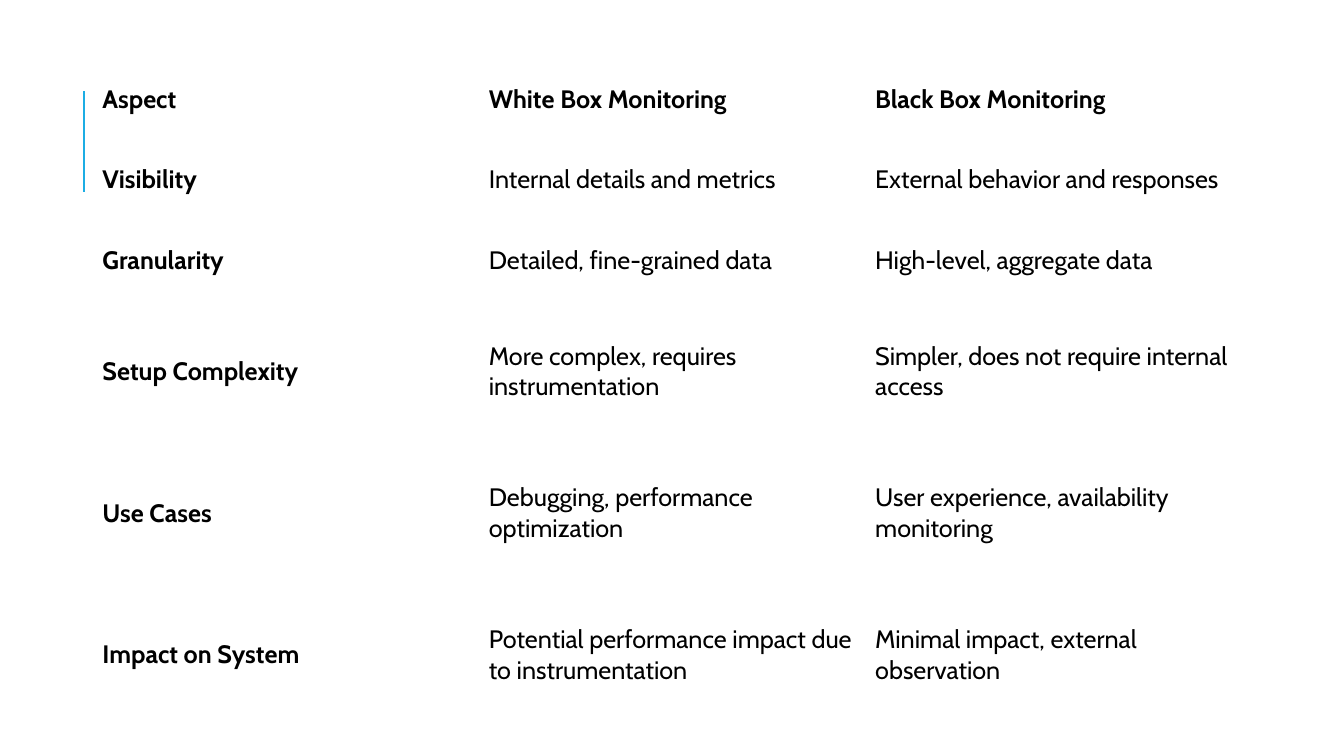
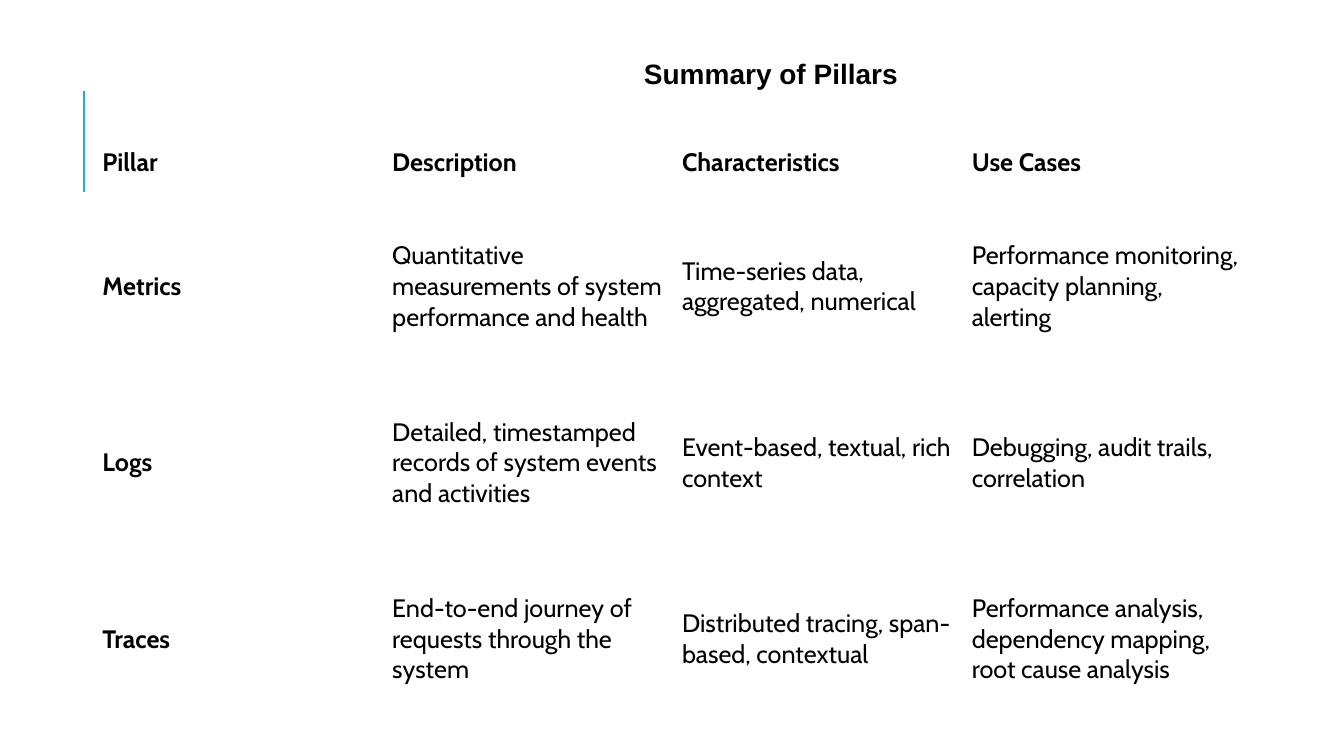
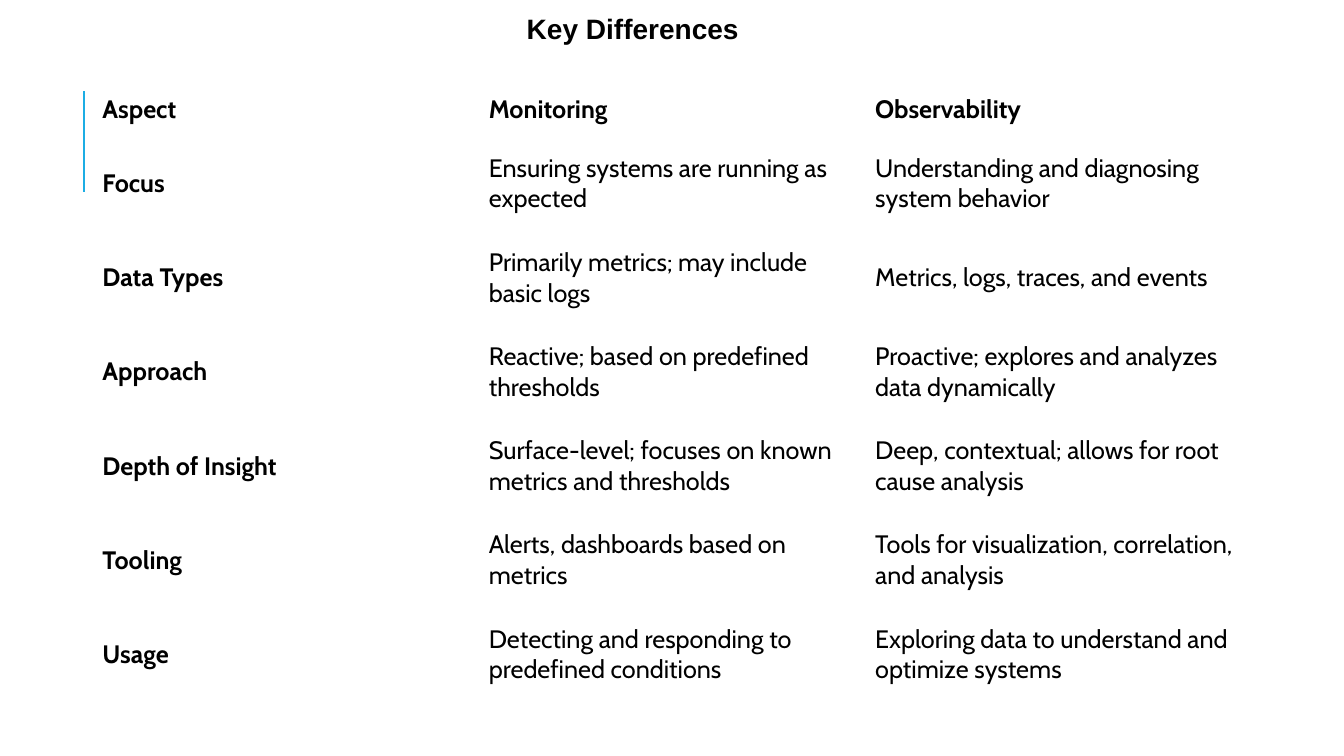
from dataclasses import dataclass

from lxml import etree
from pptx import Presentation
from pptx.dml.color import RGBColor
from pptx.enum import shapes, text
from pptx.oxml import ns
from pptx.util import Pt


@dataclass(frozen=True)
class Theme:
    ink: RGBColor = RGBColor(0x00, 0x00, 0x00)
    rule: RGBColor = RGBColor(0x1C, 0xAD, 0xE4)
    paper: RGBColor = RGBColor(0xFF, 0xFF, 0xFF)
    head: str = "Arial"
    body: str = "Cabin"
    large: int = 20
    small: int = 18


class Deck:
    wide, high = 960, 540
    left, span = 66, 828
    title_w, title_h = 240, 32

    def __init__(self, theme):
        self.theme = theme
        self.prs = Presentation()
        self.prs.slide_width = Pt(self.wide)
        self.prs.slide_height = Pt(self.high)
        self.slide = None

    def start(self, titled=True):
        name = "Title Only" if titled else "Blank"
        layout = self.prs.slide_layouts.get_by_name(name)
        self.slide = self.prs.slides.add_slide(layout)
        fill = self.slide.background.fill
        fill.solid()
        fill.fore_color.rgb = self.theme.paper
        self.rule()

    def rule(self):
        line = self.slide.shapes.add_connector(
            shapes.MSO_CONNECTOR.STRAIGHT, Pt(60), Pt(136.8), Pt(60), Pt(64.8))
        line.line.color.rgb = self.theme.rule
        line.line.width = Pt(1.5)
        etree.SubElement(line._element.spPr, ns.qn("a:effectLst"))

    def run(self, para, words, face, size, bold):
        run = para.add_run()
        run.text = words
        font = run.font
        font.name, font.size, font.bold = face, Pt(size), bold
        font.color.rgb = self.theme.ink

    def title(self, words, mid, top):
        box = self.slide.shapes.title
        box.left, box.top = Pt(mid - self.title_w / 2), Pt(top)
        box.width, box.height = Pt(self.title_w), Pt(self.title_h)
        frame = box.text_frame
        frame.auto_size = text.MSO_AUTO_SIZE.NONE
        frame.vertical_anchor = text.MSO_ANCHOR.MIDDLE
        para = frame.paragraphs[0]
        para.alignment = text.PP_ALIGN.CENTER
        self.run(para, words, self.theme.head, self.theme.large, True)

    def table(self, top, rows, tall, parts=None, joined=()):
        parts = parts or [1] * len(rows[0])
        extra = len(parts) - len(rows[0])
        grid = self.slide.shapes.add_table(
            len(rows), len(parts), Pt(self.left), Pt(top),
            Pt(self.span), Pt(sum(tall))).table
        grid.first_row = grid.horz_banding = False
        for col, part in zip(grid.columns, parts):
            col.width = Pt(self.span * part / sum(parts))
        for r, (row, height) in enumerate(zip(rows, tall)):
            grid.rows[r].height = Pt(height)
            for c in range(len(parts)):
                grid.cell(r, c).fill.background()
            if r in joined:
                grid.cell(r, 0).merge(grid.cell(r, extra))
            for c, words in enumerate(row):
                cell = grid.cell(r, c + extra if c else 0)
                cell.vertical_anchor = text.MSO_ANCHOR.MIDDLE
                self.run(cell.text_frame.paragraphs[0], words, self.theme.body,
                         self.theme.small, r == 0 or c == 0)

    def save(self):
        self.prs.save("out.pptx")


BOXES = [
    ("Aspect", "White Box Monitoring", "Black Box Monitoring"),
    ("Visibility", "Internal details and metrics",
     "External behavior and responses"),
    ("Granularity", "Detailed, fine-grained data",
     "High-level, aggregate data"),
    ("Setup Complexity", "More complex, requires instrumentation",
     "Simpler, does not require internal access"),
    ("Use Cases", "Debugging, performance optimization",
     "User experience, availability monitoring"),
    ("Impact on System", "Potential performance impact due to instrumentation",
     "Minimal impact, external observation"),
]

PILLARS = [
    ("Pillar", "Description", "Characteristics", "Use Cases"),
    ("Metrics", "Quantitative measurements of system performance and health",
     "Time-series data, aggregated, numerical",
     "Performance monitoring, capacity planning, alerting"),
    ("Logs", "Detailed, timestamped records of system events and activities",
     "Event-based, textual, rich context",
     "Debugging, audit trails, correlation"),
    ("Traces", "End-to-end journey of requests through the system",
     "Distributed tracing, span-based, contextual",
     "Performance analysis, dependency mapping, root cause analysis"),
]

CONTRAST = [
    ("Aspect", "Monitoring", "Observability"),
    ("Focus", "Ensuring systems are running as expected",
     "Understanding and diagnosing system behavior"),
    ("Data Types", "Primarily metrics; may include basic logs",
     "Metrics, logs, traces, and events"),
    ("Approach", "Reactive; based on predefined thresholds",
     "Proactive; explores and analyzes data dynamically"),
    ("Depth of Insight",
     "Surface-level; focuses on known metrics and thresholds",
     "Deep, contextual; allows for root cause analysis"),
    ("Tooling", "Alerts, dashboards based on metrics",
     "Tools for visualization, correlation, and analysis"),
    ("Usage", "Detecting and responding to predefined conditions",
     "Exploring data to understand and optimize systems"),
]


def main():
    deck = Deck(Theme())

    deck.start(titled=False)
    deck.table(42, BOXES, [57.6] * 3 + [101.2] * 3,
               parts=[1, 1, 2, 2], joined=(0, 2, 3, 4, 5))

    deck.start()
    deck.title("Summary of Pillars", 550.7, 36)
    deck.table(91.2, PILLARS, [50.4] + [126] * 3)

    deck.start()
    deck.title("Key Differences", 452, 4.5)
    deck.table(59, CONTRAST, [38.4] + [67.3] * 6)

    deck.save()


if __name__ == "__main__":
    main()
